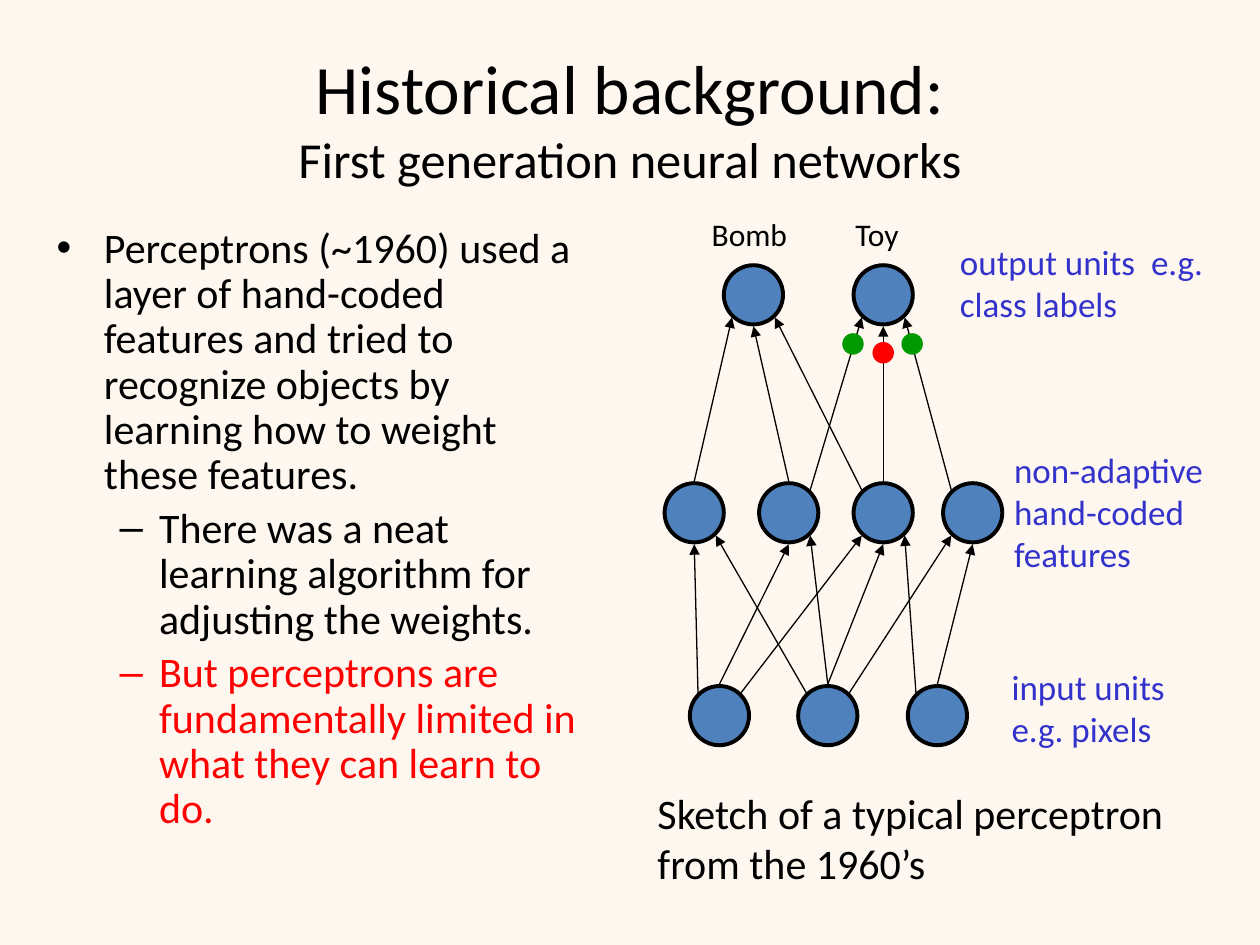
from lxml import etree
from pptx import Presentation
from pptx.dml.color import RGBColor
from pptx.enum.shapes import MSO_CONNECTOR, MSO_SHAPE
from pptx.enum.text import MSO_ANCHOR, MSO_AUTO_SIZE, PP_ALIGN
from pptx.oxml.ns import qn
from pptx.util import Inches, Pt

OVAL = MSO_SHAPE.OVAL
STRAIGHT = MSO_CONNECTOR.STRAIGHT
NO_AUTOFIT = MSO_AUTO_SIZE.NONE
MIDDLE = MSO_ANCHOR.MIDDLE
CENTER = PP_ALIGN.CENTER

FONT = "Calibri"
BLACK, RED, GREEN = "000000", "FF0000", "009900"
UNIT_BLUE, LABEL_BLUE, CREAM = "4F81BD", "3333CC", "FEF7F0"

TITLE_BOX = (0.5, 0.3, 9, 1.25)
TITLE_LINES = [("Historical background:", 39.6), ("First generation neural networks", 28.8)]

BODY_BOX = (0.35, 1.75, 4.42, 4.95)
BULLETS = [  # text, level, colour
    ("Perceptrons (~1960) used a layer of hand-coded features and tried to "
     "recognize objects by learning how to weight these features.", 0, BLACK),
    ("There was a neat learning algorithm for adjusting the weights.", 1, BLACK),
    ("But perceptrons are fundamentally limited in what they can learn to do.", 1, RED),
]

LABELS = [  # box, paragraphs, size, colour
    ((7.95, 3.51, 1.81, 1.1), ["non-adaptive", "hand-coded", "features"], 20, LABEL_BLUE),
    ((7.52, 1.86, 2.2, 0.77), ["output units  e.g. class labels"], 20, LABEL_BLUE),
    ((7.93, 5.23, 1.75, 0.77), ["input units e.g. pixels"], 20, LABEL_BLUE),
    ((5.12, 6.2, 4.37, 0.9), ["Sketch of a typical perceptron from the 1960’s"], 24, BLACK),
    ((5.55, 1.66, 0.86, 0.4), ["Bomb"], 18, BLACK),
    ((6.69, 1.66, 0.71, 0.4), ["Toy"], 18, BLACK),
]

UNIT_SIZE, WEIGHT_SIZE = 0.47, 0.16
LAYERS = {  # layer: (centre y, centre x of each unit)
    "output": (2.34, [5.98, 7.01]),
    "hidden": (4.07, [5.51, 6.26, 7.01, 7.72]),
    "input": (5.68, [5.71, 6.57, 7.44]),
}
ANCHORS = {  # offset from a unit's centre to the arrow end
    "top": (0, -0.25), "top left": (-0.17, -0.18), "top right": (0.17, -0.18),
    "bottom": (0, 0.25), "bottom left": (-0.17, 0.18), "bottom right": (0.17, 0.18),
}
ARROWS = {  # (lower layer, upper layer): from unit, anchor, to unit, anchor
    ("input", "hidden"): [
        (0, "top left", 0, "bottom"),
        (0, "top", 1, "bottom"),
        (0, "top right", 2, "bottom left"),
        (1, "top left", 0, "bottom right"),
        (1, "top", 1, "bottom right"),
        (1, "top", 2, "bottom"),
        (1, "top right", 3, "bottom left"),
        (2, "top left", 2, "bottom right"),
        (2, "top", 3, "bottom"),
    ],
    ("hidden", "output"): [
        (0, "top", 0, "bottom left"),
        (1, "top", 0, "bottom"),
        (1, "top right", 1, "bottom left"),
        (2, "top left", 0, "bottom right"),
        (2, "top", 1, "bottom"),
        (3, "top left", 1, "bottom right"),
    ],
}
WEIGHTS = [(7.24, 2.73, GREEN), (6.77, 2.73, GREEN), (7.01, 2.8, RED)]  # centre, colour


def rgb(value):
    return RGBColor.from_string(value)


def place(shape, box):
    shape.left, shape.top, shape.width, shape.height = map(Inches, box)


def add_run(paragraph, text, size, color):
    run = paragraph.add_run()
    run.text = text
    run.font.name = FONT
    run.font.size = Pt(size)
    run.font.color.rgb = rgb(color)


def add_label(slide, box, lines, size, color):
    frame = slide.shapes.add_textbox(*map(Inches, box)).text_frame
    frame.word_wrap = True
    for index, line in enumerate(lines):
        paragraph = frame.add_paragraph() if index else frame.paragraphs[0]
        add_run(paragraph, line, size, color)


def add_circle(slide, center, diameter, fill, line, line_width):
    x, y = center
    box = (x - diameter / 2, y - diameter / 2, diameter, diameter)
    shape = slide.shapes.add_shape(OVAL, *map(Inches, box))
    shape.shadow.inherit = False
    shape.fill.solid()
    shape.fill.fore_color.rgb = rgb(fill)
    shape.line.color.rgb = rgb(line)
    shape.line.width = Pt(line_width)


def unit_center(layer, index):
    y, columns = LAYERS[layer]
    return columns[index], y


def arrow_end(layer, index, anchor):
    return [c + d for c, d in zip(unit_center(layer, index), ANCHORS[anchor])]


def add_arrow(slide, start, end):
    arrow = slide.shapes.add_connector(STRAIGHT, *map(Inches, [*start, *end]))
    arrow.line.color.rgb = rgb(BLACK)
    arrow.line.width = Pt(0.75)
    etree.SubElement(arrow.line._get_or_add_ln(), qn("a:tailEnd"), type="triangle")
    etree.SubElement(arrow._element.spPr, qn("a:effectLst"))


def fill_title(title):
    place(title, TITLE_BOX)
    frame = title.text_frame
    frame.auto_size = NO_AUTOFIT
    frame.vertical_anchor = MIDDLE
    paragraph = frame.paragraphs[0]
    paragraph.alignment = CENTER
    for index, (text, size) in enumerate(TITLE_LINES):
        if index:
            paragraph.add_line_break()
        add_run(paragraph, text, size, BLACK)


def fill_body(body):
    place(body, BODY_BOX)
    frame = body.text_frame
    frame.auto_size = NO_AUTOFIT
    for index, (text, level, color) in enumerate(BULLETS):
        paragraph = frame.add_paragraph() if index else frame.paragraphs[0]
        paragraph.level = level
        paragraph.line_spacing = 0.9
        add_run(paragraph, text, 24, color)


def draw_network(slide):
    for layer, (_, columns) in LAYERS.items():
        for index in range(len(columns)):
            add_circle(slide, unit_center(layer, index), UNIT_SIZE, UNIT_BLUE, BLACK, 2.25)
    for (lower, upper), arrows in ARROWS.items():
        for source, source_anchor, target, target_anchor in arrows:
            add_arrow(slide, arrow_end(lower, source, source_anchor),
                      arrow_end(upper, target, target_anchor))
    for x, y, color in WEIGHTS:
        add_circle(slide, (x, y), WEIGHT_SIZE, color, color, 0.75)


def main():
    presentation = Presentation()
    presentation.slide_width, presentation.slide_height = Inches(10), Inches(7.5)
    # The title-and-content layout supplies the bullets and their indents.
    slide = presentation.slides.add_slide(presentation.slide_layouts[1])
    slide.background.fill.solid()
    slide.background.fill.fore_color.rgb = rgb(CREAM)
    fill_title(slide.shapes.title)
    fill_body(slide.placeholders[1])
    draw_network(slide)
    for label in LABELS:
        add_label(slide, *label)
    presentation.save("out.pptx")


if __name__ == "__main__":
    main()
